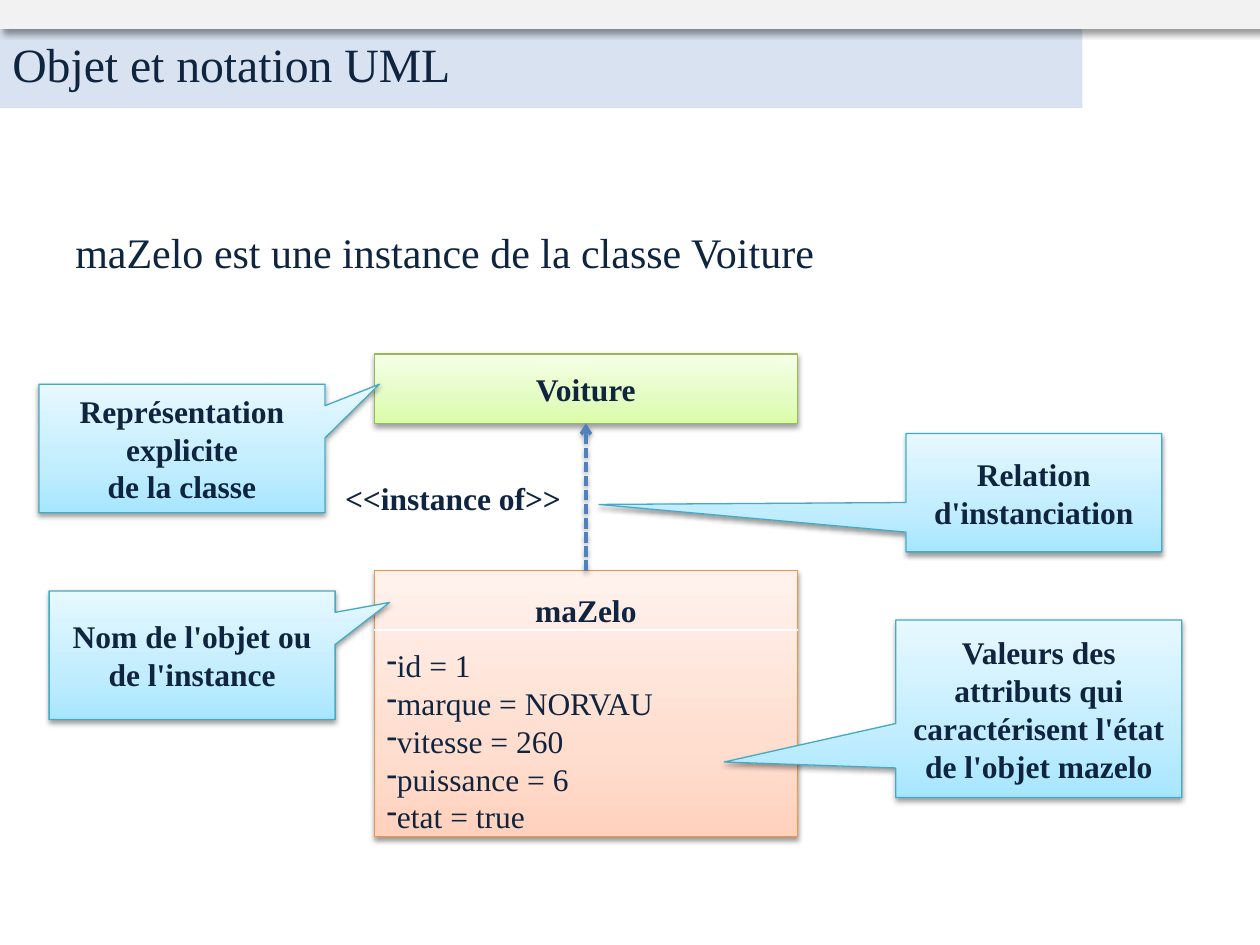
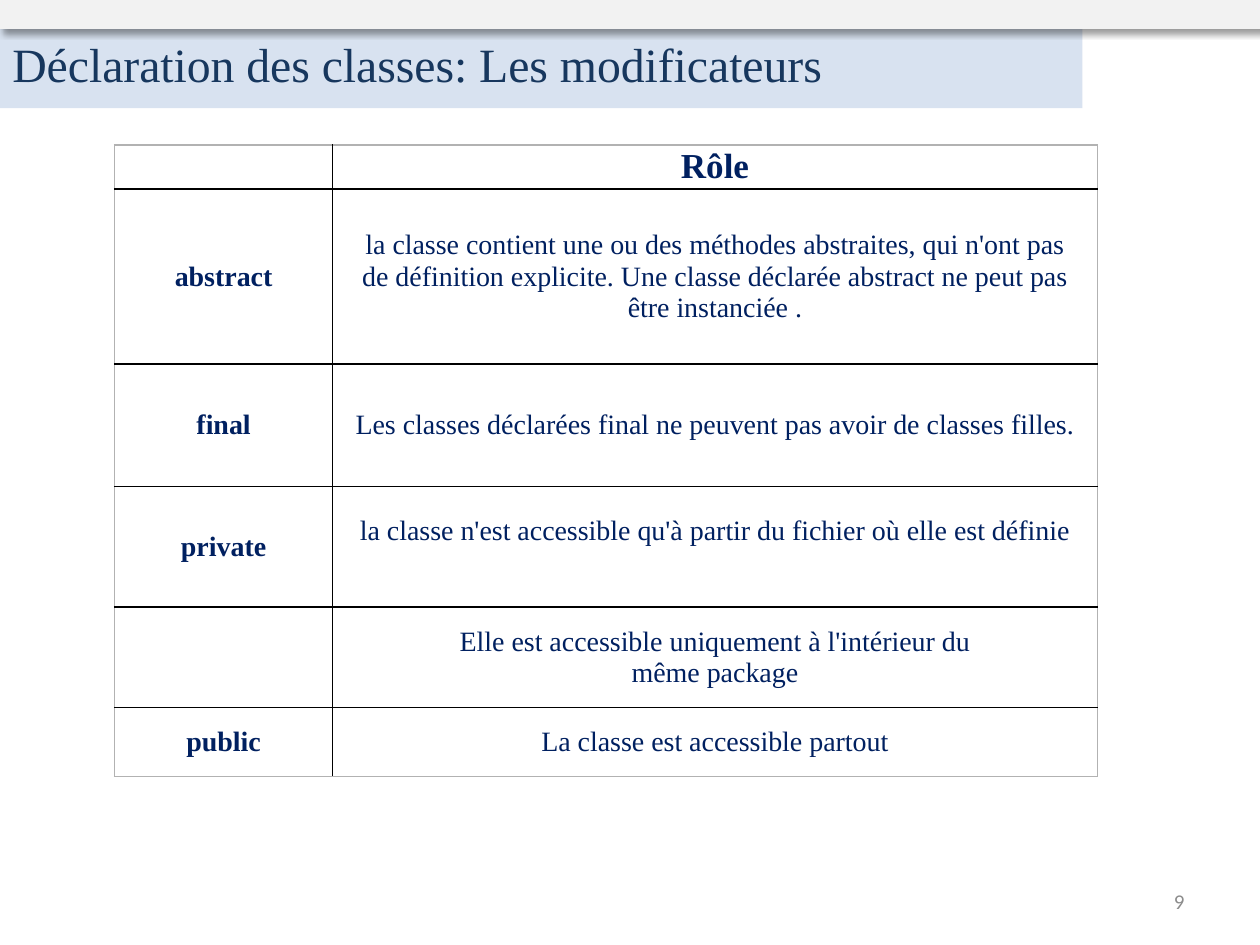
from copy import deepcopy
from dataclasses import dataclass

from lxml.etree import SubElement
from pptx import Presentation
from pptx.dml.color import RGBColor
from pptx.enum.dml import MSO_LINE
from pptx.enum.shapes import MSO_CONNECTOR, MSO_SHAPE
from pptx.enum.text import MSO_ANCHOR, PP_ALIGN
from pptx.oxml.ns import qn
from pptx.util import Inches, Pt


@dataclass(frozen=True)
class Theme:
    serif: str = "Times New Roman"
    sans: str = "Calibri"
    ink: str = "0F243E"
    table_ink: str = "002060"
    muted: str = "8C8C8C"
    band: str = "D8E2F0"
    strip: str = "F2F2F2"
    divider: str = "FFFFFF"
    arrow: str = "4F81BD"
    grid: str = "000000"
    frame: str = "B2B2B2"
    green: tuple = ("DAFDA7", "E4FCC2", "F5FFE7", "98B955")
    orange: tuple = ("FFD2BD", "FFDED0", "FFF2ED", "F69240")
    blue: tuple = ("A7E6FF", "C1EDFF", "E7F8FF", "46AAC5")
    soft_shadow: tuple = (38, 3.1, 1.6, 90)
    strip_shadow: tuple = (40, 4, 3, 45)
    title_size: float = 27.3
    statement_size: float = 24
    role_size: float = 20
    label_size: float = 18
    cell_size: float = 16
    number_size: float = 12


THEME = Theme()
COLUMNS, ROWS = 100, 75
WIDTH, HEIGHT = Inches(10), Inches(7.5)

INSTANCE = {
    "title": "Objet et notation UML",
    "statement": "maZelo est une instance de la classe Voiture",
    "class": "Voiture",
    "relation": "<<instance of>>",
    "object": "maZelo",
    "attributes": ["id = 1", "marque = NORVAU", "vitesse = 260", "puissance = 6", "etat = true"],
}
CALLOUTS = [
    (["Représentation explicite", "de la classe"], (3.1, 30.5, 22.7, 10.2), (0.69, -0.5)),
    (["Relation d'instanciation"], (71.9, 34.4, 20.3, 9.4), (-1.7, 0.1)),
    (["Nom de l'objet ou de l'instance"], (3.9, 46.9, 22.7, 10.2), (0.69, -0.41)),
    (["Valeurs des attributs qui caractérisent l'état de l'objet mazelo"],
     (71.1, 49.2, 22.7, 14.1), (-1.1, 0.3)),
]
UML_LEFT, UML_WIDTH = 29.7, 33.6
CLASS_TOP, CLASS_ROWS = 28.1, 5.5
OBJECT_TOP, OBJECT_ROWS, NAME_ROWS = 45.3, 21.1, 4.7

MODIFIERS = {
    "title": "Déclaration des classes: Les modificateurs",
    "title_ink": "17375E",
    "number": "9",
    "rows": [
        ("", ["Rôle"], 3.5),
        ("abstract", ["la classe contient une ou des méthodes abstraites, qui n'ont pas de "
                      "définition explicite. Une classe déclarée abstract ne peut pas être "
                      "instanciée ."], 13.9),
        ("final", ["Les classes déclarées final ne peuvent pas avoir de classes filles."], 9.7),
        ("private", ["la classe n'est accessible qu'à partir du fichier où elle est définie"], 9.6),
        ("", ["Elle est accessible uniquement à l'intérieur du", "même package"], 7.9),
        ("public", ["La classe est accessible partout"], 5.5),
    ],
}
MODIFIER_COLUMNS = (17.3, 60.7)
RAISED_ROW = 3


def across(columns):
    return int(WIDTH * columns / COLUMNS)


def down(rows):
    return int(HEIGHT * rows / ROWS)


def place(left, top, width, height):
    return across(left), down(top), across(width), down(height)


def color(value):
    return RGBColor.from_string(value)


def write(frame, lines, size, ink=THEME.ink, bold=False, align=PP_ALIGN.LEFT,
          font=THEME.serif, bullet=None):
    frame.word_wrap = True
    for index, line in enumerate(lines):
        paragraph = frame.paragraphs[0] if index == 0 else frame.add_paragraph()
        paragraph.alignment = align
        if bullet:
            SubElement(paragraph._p.get_or_add_pPr(), qn("a:buChar"), char=bullet)
        run = paragraph.add_run()
        run.text = line
        run.font.name, run.font.size, run.font.bold = font, Pt(size), bold
        run.font.color.rgb = color(ink)


def add_text(slide, area, lines, size, anchor=MSO_ANCHOR.TOP, **style):
    frame = slide.shapes.add_textbox(*place(*area)).text_frame
    frame.vertical_anchor = anchor
    write(frame, lines, size, **style)


def cast_shadow(shape, opacity=None, blur=0, distance=0, angle=0):
    properties = shape._element.spPr
    effects = properties.find(qn("a:effectLst"))
    if effects is None:
        effects = SubElement(properties, qn("a:effectLst"))
    if opacity:
        shadow = SubElement(effects, qn("a:outerShdw"), blurRad=str(Pt(blur)),
                            dist=str(Pt(distance)), dir=str(angle * 60000), rotWithShape="0")
        black = SubElement(shadow, qn("a:srgbClr"), val="000000")
        SubElement(black, qn("a:alpha"), val=str(opacity * 1000))


def add_plain(slide, area, fill):
    plain = slide.shapes.add_shape(MSO_SHAPE.RECTANGLE, *place(*area))
    plain.shadow.inherit = False
    plain.fill.solid()
    plain.fill.fore_color.rgb = color(fill)
    plain.line.fill.background()
    return plain


def add_panel(slide, area, palette, lines, kind=MSO_SHAPE.RECTANGLE):
    panel = slide.shapes.add_shape(kind, *place(*area))
    panel.shadow.inherit = False
    panel.fill.gradient()
    panel.fill.gradient_angle = 90
    stops = next(panel._element.spPr.iter(qn("a:gsLst")))
    stops.append(deepcopy(stops[0]))
    for stop, tint, position in zip(panel.fill.gradient_stops, palette, (0, 0.35, 1)):
        stop.color.rgb = color(tint)
        stop.position = position
    panel.line.color.rgb = color(palette[-1])
    panel.line.width = Pt(0.75)
    cast_shadow(panel, *THEME.soft_shadow)
    panel.text_frame.vertical_anchor = MSO_ANCHOR.MIDDLE
    write(panel.text_frame, lines, THEME.label_size, bold=True, align=PP_ALIGN.CENTER)
    return panel


def add_line(slide, start, end, ink, width, shadow=()):
    line = slide.shapes.add_connector(MSO_CONNECTOR.STRAIGHT, across(start[0]), down(start[1]),
                                      across(end[0]), down(end[1]))
    line.line.color.rgb = color(ink)
    line.line.width = Pt(width)
    cast_shadow(line, *shadow)
    return line


def add_header(slide, title, ink=THEME.ink):
    add_plain(slide, (0, 2.3, 85.9, 6.3), THEME.band)
    strip = add_plain(slide, (0, 0, COLUMNS, 2.3), THEME.strip)
    cast_shadow(strip, *THEME.strip_shadow)
    add_text(slide, (0, 2.3, 72.7, 7.7), [title], THEME.title_size, ink=ink)


def build_instance(slide):
    add_text(slide, (5, 17.5, 90, 49.5), [INSTANCE["statement"]], THEME.statement_size)
    add_panel(slide, (UML_LEFT, CLASS_TOP, UML_WIDTH, CLASS_ROWS), THEME.green,
              [INSTANCE["class"]])
    instance = add_panel(slide, (UML_LEFT, OBJECT_TOP, UML_WIDTH, OBJECT_ROWS), THEME.orange,
                         [INSTANCE["object"]])
    instance.text_frame.vertical_anchor = MSO_ANCHOR.TOP
    instance.text_frame.margin_top = down(1.6)

    middle = UML_LEFT + UML_WIDTH / 2
    arrow = add_line(slide, (middle, OBJECT_TOP), (middle, CLASS_TOP + CLASS_ROWS),
                     THEME.arrow, 2, THEME.soft_shadow)
    arrow.line.dash_style = MSO_LINE.SQUARE_DOT
    SubElement(arrow.line._get_or_add_ln(), qn("a:tailEnd"), type="arrow")

    divider = OBJECT_TOP + NAME_ROWS
    add_line(slide, (UML_LEFT, divider), (UML_LEFT + UML_WIDTH, divider), THEME.divider, 0.75)
    add_text(slide, (UML_LEFT, divider + 0.8, UML_WIDTH, 16.2), INSTANCE["attributes"],
             THEME.label_size, bullet="-")
    add_text(slide, (26.4, 37.5, 19.3, 4), [INSTANCE["relation"]], THEME.label_size, bold=True)
    for lines, area, pointer in CALLOUTS:
        callout = add_panel(slide, area, THEME.blue, lines, MSO_SHAPE.RECTANGULAR_CALLOUT)
        callout.adjustments[0], callout.adjustments[1] = pointer
    add_header(slide, INSTANCE["title"])


def outline(cell, outer_sides):
    properties = cell._tc.get_or_add_tcPr()
    for side in "LRTB":
        edge = SubElement(properties, qn(f"a:ln{side}"), w=str(Pt(1)))
        fill = SubElement(edge, qn("a:solidFill"))
        SubElement(fill, qn("a:srgbClr"), val=THEME.frame if side in outer_sides else THEME.grid)


def build_modifiers(slide):
    rows = MODIFIERS["rows"]
    last = len(rows) - 1
    area = (9.1, 11.5, sum(MODIFIER_COLUMNS), sum(height for *_, height in rows))
    table = slide.shapes.add_table(len(rows), len(MODIFIER_COLUMNS), *place(*area)).table
    table.first_row = table.horz_banding = False
    for column, width in zip(table.columns, MODIFIER_COLUMNS):
        column.width = across(width)
    for r, (modifier, role, height) in enumerate(rows):
        table.rows[r].height = down(height)
        for c, lines in enumerate(([modifier] if modifier else [], role)):
            cell = table.cell(r, c)
            outline(cell, "LR"[c] + ("T" if r == 0 else "") + ("B" if r == last else ""))
            cell.fill.background()
            cell.vertical_anchor = MSO_ANCHOR.MIDDLE
            margin = Inches(0.15 if c and r else 0.02)
            cell.margin_left = cell.margin_right = cell.margin_top = cell.margin_bottom = margin
            if c and r == RAISED_ROW:
                cell.margin_bottom = Inches(0.4)
            write(cell.text_frame, lines, THEME.cell_size if r else THEME.role_size,
                  ink=THEME.table_ink, bold=c == 0 or r == 0, align=PP_ALIGN.CENTER)
    add_text(slide, (71.7, 69.5, 23.3, 4), [MODIFIERS["number"]], THEME.number_size,
             anchor=MSO_ANCHOR.MIDDLE, ink=THEME.muted, align=PP_ALIGN.RIGHT, font=THEME.sans)
    add_header(slide, MODIFIERS["title"], MODIFIERS["title_ink"])


def main():
    deck = Presentation()
    deck.slide_width, deck.slide_height = WIDTH, HEIGHT
    for build in (build_instance, build_modifiers):
        build(deck.slides.add_slide(deck.slide_layouts[6]))
    deck.save("out.pptx")


if __name__ == "__main__":
    main()
